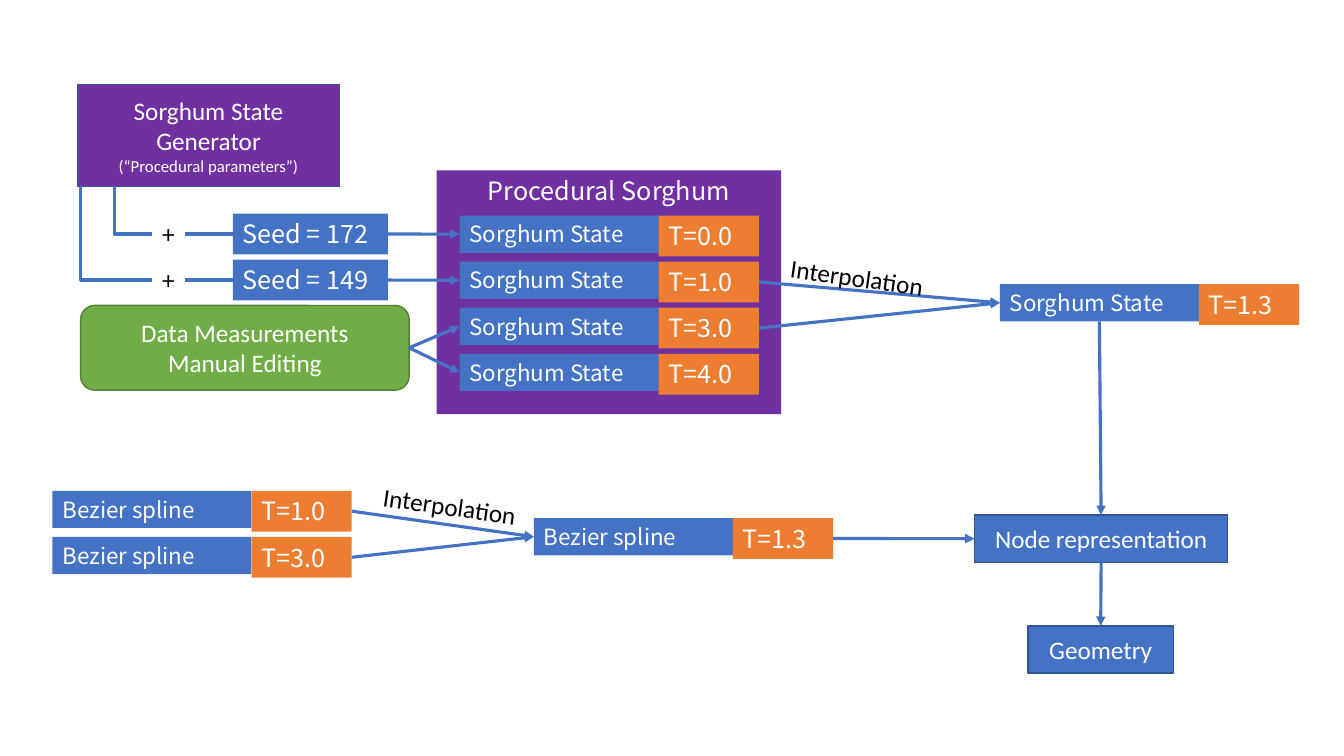
"""Build the slide showing how sorghum states and splines become geometry."""
from lxml import etree
from pptx import Presentation
from pptx.dml.color import RGBColor
from pptx.enum import shapes, text
from pptx.oxml import ns
from pptx.util import Pt

BLUE, ORANGE, PURPLE, GREEN = "4472C4", "ED7D31", "7030A0", "70AD47"
CJK, LATIN = "Noto Sans CJK TC", "Calibri"
TOP, LEFT, BOTTOM, RIGHT = range(4)
PITCH = 32.9
CENTERED = {"align": text.PP_ALIGN.CENTER, "anchor": text.MSO_ANCHOR.MIDDLE, "font": LATIN}

deck = Presentation()
deck.slide_width, deck.slide_height = Pt(960), Pt(540)
slide = deck.slides.add_slide(deck.slide_layouts[6])


def box(lines, place, fill=None, edge=None, sizes=(18,), font=CJK, align=text.PP_ALIGN.LEFT,
        anchor=text.MSO_ANCHOR.TOP, outline=shapes.MSO_SHAPE.RECTANGLE, turn=0):
    area = [Pt(length) for length in place]
    if fill:
        block = slide.shapes.add_shape(outline, *area)
        block.shadow.inherit = False
        block.fill.solid()
        block.fill.fore_color.rgb = RGBColor.from_string(fill)
        if edge:
            block.line.color.rgb = RGBColor.from_string(edge)
            block.line.width = Pt(1)
        else:
            block.line.fill.background()
    else:
        block = slide.shapes.add_textbox(*area)
    block.rotation = turn
    frame = block.text_frame
    fit = text.MSO_AUTO_SIZE.NONE if fill else text.MSO_AUTO_SIZE.SHAPE_TO_FIT_TEXT
    frame_format = {"word_wrap": bool(fill), "vertical_anchor": anchor, "auto_size": fit}
    for name, value in frame_format.items():
        setattr(frame, name, value)
    frame.text = lines
    for paragraph, size in zip(frame.paragraphs, sizes):
        paragraph.alignment = align
        for name, value in {"name": font, "size": Pt(size)}.items():
            setattr(paragraph.font, name, value)
        paragraph.font.color.rgb = RGBColor.from_string("FFFFFF" if fill else "000000")
    return block


def link(ends, arrow=True, kind=shapes.MSO_CONNECTOR.STRAIGHT):
    line = slide.shapes.add_connector(kind, *[Pt(end) for end in ends])
    line.line.color.rgb = RGBColor.from_string(BLUE)
    line.line.width = Pt(2.25)
    if arrow:
        etree.SubElement(line.line._get_or_add_ln(), ns.qn("a:tailEnd"), type="triangle")
    etree.SubElement(line._element.spPr, ns.qn("a:effectLst"))
    return line


box("Procedural Sorghum", (311.8, 121.7, 246.2, 174.2), PURPLE, align=text.PP_ALIGN.CENTER)

stages = {}
for group, label, left, top, times in (
        ("procedural", "Sorghum State", 328.3, 154, ("0.0", "1.0", "3.0", "4.0")),
        ("state", "Sorghum State", 714.2, 203, ("1.3",)),
        ("splines", "Bezier spline", 37.5, 350.6, ("1.0", "3.0")),
        ("spline", "Bezier spline", 381.3, 370.1, ("1.3",))):
    stages[group] = [
        (box(label, (left, top + row * PITCH, 142.2, 26.6), BLUE, sizes=(16,)),
         box(f"T={time}", (left + 142.2, top + row * PITCH, 71.6, 29.1), ORANGE))
        for row, time in enumerate(times)]
procedural, splines = stages["procedural"], stages["splines"]
state, state_time = stages["state"][0]
spline, spline_time = stages["spline"][0]

box("Sorghum State Generator\n(“Procedural parameters”)", (55.4, 60.5, 187.2, 72.7),
    PURPLE, "325491", sizes=(18, 12), **CENTERED)
measurements = box("Data Measurements\nManual Editing", (57.6, 218.2, 234.7, 60.5), GREEN, "538035",
                   sizes=(18, 18), outline=shapes.MSO_SHAPE.ROUNDED_RECTANGLE, **CENTERED)
nodes = box("Node representation", (696.2, 367.9, 180.7, 33.8), BLUE, "325491", **CENTERED)
geometry = box("Geometry", (734.4, 447.1, 103.7, 33.8), BLUE, "325491", **CENTERED)

flows = [
    (measurements, RIGHT, procedural[2][0], LEFT, True),
    (measurements, RIGHT, procedural[3][0], LEFT, True),
    (procedural[1][1], RIGHT, state, LEFT, True),
    (procedural[2][1], RIGHT, state, LEFT, True),
    (splines[0][1], RIGHT, spline, LEFT, True),
    (splines[1][1], RIGHT, spline, LEFT, True),
    (spline_time, RIGHT, nodes, LEFT, True),
    (state, BOTTOM, nodes, TOP, True),
    (nodes, BOTTOM, geometry, TOP, True)]

for row, (number, start_x) in enumerate(((172, 82.1), (149, 57.6))):
    top = 152.6 + row * PITCH
    seed = box(f"Seed = {number}", (166.3, top, 110.9, 29.1), BLUE)
    plus = box("+", (108.7, top, 23.8, 29.1), font=LATIN)
    flows += [(plus, RIGHT, seed, LEFT, False), (seed, RIGHT, procedural[row][0], LEFT, True)]
    run, drop = 108.7 - start_x, top + 14.5 - 133
    middle_x, middle_y = start_x + run / 2, 133 + drop / 2
    elbow = link((middle_x + drop / 2, middle_y - run / 2, middle_x - drop / 2, middle_y + run / 2),
                 False, shapes.MSO_CONNECTOR.ELBOW)
    elbow._element.spPr.find(ns.qn("a:xfrm")).set("rot", "16200000")
    elbow._element.spPr.find(ns.qn("a:prstGeom")).set("prst", "bentConnector2")

for source, source_side, target, target_side, arrow in flows:
    flow = link((0, 0, 0, 0), arrow)
    flow.begin_connect(source, source_side)
    flow.end_connect(target, target_side)

for left, top in ((557.3, 183.6), (266.4, 347)):
    box("Interpolation", (left, top, 110.9, 29.1), font=LATIN, turn=8.2)

deck.save("out.pptx")
